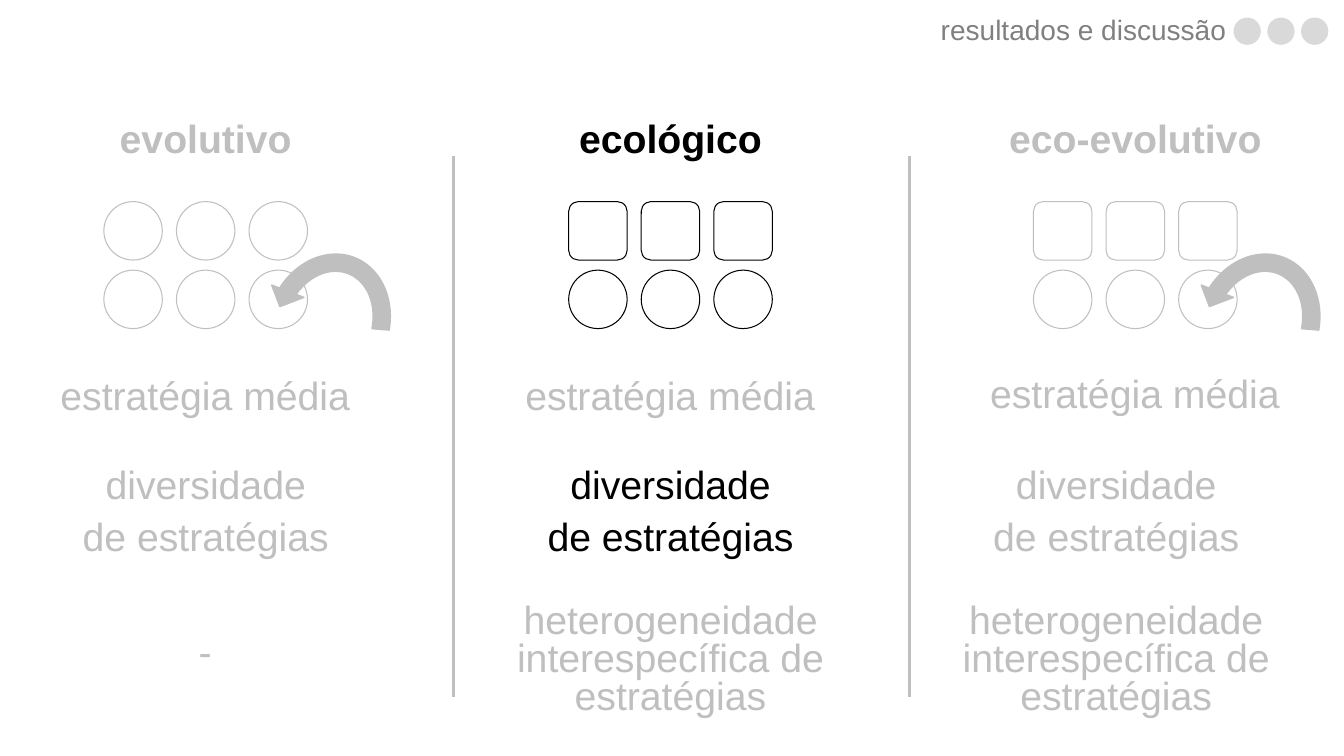
import pptx
import pptx.dml.color
import pptx.enum.shapes
import pptx.enum.text
import pptx.oxml.ns
import pptx.util
from lxml import etree

Inches = pptx.util.Inches
Pt = pptx.util.Pt
RGBColor = pptx.dml.color.RGBColor
MSO_SHAPE = pptx.enum.shapes.MSO_SHAPE
PP_ALIGN = pptx.enum.text.PP_ALIGN
MSO_ANCHOR = pptx.enum.text.MSO_ANCHOR

BLACK = RGBColor(0x00, 0x00, 0x00)
MUTED = RGBColor(0xBF, 0xBF, 0xBF)
DOT = RGBColor(0xD9, 0xD9, 0xD9)
HEADER = RGBColor(0x80, 0x80, 0x80)

COLUMN_X, COLUMN_STEP = 2.04, 4.61
TOKEN, TOKEN_STEP_X = 0.58, 0.72
ARROW_ADJUSTMENTS = (0.125, 11.423, 204.577, 117.73, 0.125)

CIRCLE, SQUARE = MSO_SHAPE.OVAL, MSO_SHAPE.ROUNDED_RECTANGLE
DIVERSITY = ["diversidade", "de estratégias"]
HETEROGENEITY = ["heterogeneidade interespecífica de estratégias"]

# title, highlight colour, shape of the upper row, feedback arrow,
# top of the mean strategy text, shift of the lower texts
COLUMNS = [
    ("evolutivo", MUTED, CIRCLE, True, 3.69, 0),
    ("ecológico", BLACK, SQUARE, False, 3.69, 0),
    ("eco-evolutivo", MUTED, SQUARE, True, 3.67, -0.19),
]


def set_attrs(obj, values):
    for name, value in values.items():
        setattr(obj, name, value)


def add_text(s, lines, x, y, w, h, color, spacing=0.9, size=28, bold=False,
             align=PP_ALIGN.CENTER, anchor=MSO_ANCHOR.TOP):
    tf = s.shapes.add_textbox(Inches(x), Inches(y), Inches(w), Inches(h)).text_frame
    set_attrs(tf, {"word_wrap": True, "vertical_anchor": anchor})
    for i, line in enumerate(lines):
        p = tf.paragraphs[0] if i == 0 else tf.add_paragraph()
        set_attrs(p, {"alignment": align, "line_spacing": spacing,
                      "space_before": Pt(10 if i else 0)})
        r = p.add_run()
        r.text = line
        set_attrs(r.font, {"name": "Arial", "size": Pt(size), "bold": bold})
        r.font.color.rgb = color


def add_figure(s, kind, x, y, w, h, line, fill=None, width=0):
    sp = s.shapes.add_shape(kind, Inches(x), Inches(y), Inches(w), Inches(h))
    sp.shadow.inherit = False
    if fill is None:
        sp.fill.background()
    else:
        sp.fill.solid()
        sp.fill.fore_color.rgb = fill
    sp.line.color.rgb = line
    sp.line.width = Pt(width)
    return sp


def add_tokens(s, center, color, upper_kind):
    for row, kind in enumerate((upper_kind, CIRCLE)):
        for col in range(3):
            x = center + (col - 1) * TOKEN_STEP_X - TOKEN / 2
            add_figure(s, kind, x, 2 + row * 0.68, TOKEN, TOKEN, color)


def add_feedback_arrow(s, center):
    sp = add_figure(s, MSO_SHAPE.CIRCULAR_ARROW, center + 0.53, 2.42, 1.37, 1.61,
                    MUTED, MUTED, 1)
    for i, value in enumerate(ARROW_ADJUSTMENTS):
        sp.adjustments[i] = value
    sp.rotation = 200.9
    sp._element.spPr.xfrm.set("flipV", "1")


def add_divider(s, x):
    line = s.shapes.add_connector(pptx.enum.shapes.MSO_CONNECTOR.STRAIGHT,
                                  Inches(x), Inches(1.55), Inches(x), Inches(6.91))
    line.line.color.rgb = MUTED
    line.line.width = Pt(2.25)
    etree.SubElement(line._element.spPr, pptx.oxml.ns.qn("a:effectLst"))


def add_header(s):
    add_text(s, ["resultados e discussão"], 7.78, 0.08, 4.48, 0.47, HEADER, size=20,
             align=PP_ALIGN.RIGHT, anchor=MSO_ANCHOR.MIDDLE)
    for i in range(3):
        add_figure(s, CIRCLE, 12.24 + i * 0.335, 0.18, 0.26, 0.26, DOT, DOT)


def main():
    prs = pptx.Presentation()
    set_attrs(prs, {"slide_width": Inches(13.33), "slide_height": Inches(7.5)})
    s = prs.slides.add_slide(prs.slide_layouts[6])

    # Three model columns
    for i, (title, color, upper, arrow, mean_y, shift) in enumerate(COLUMNS):
        center = COLUMN_X + i * COLUMN_STEP
        add_tokens(s, center, color, upper)
        add_text(s, [title], center - 1.385, 0.67, 2.77, 1.45, color, bold=True,
                 anchor=MSO_ANCHOR.MIDDLE)
        if arrow:
            add_feedback_arrow(s, center)
        add_text(s, ["estratégia média"], center - 1.76, mean_y, 3.51, 0.85, MUTED)
        lower = center + shift
        add_text(s, DIVERSITY, lower - 2.54, 4.61, 5.08, 1.04, color, 0.8)
        if i == 0:
            add_text(s, ["-"], center - 1.76, 6.23, 3.51, 0.85, MUTED)
        else:
            add_text(s, HETEROGENEITY, lower - 2.38, 5.95, 4.76, 1.33, MUTED, 0.8)

    # Dividers between the columns
    for x in (4.5, 9.02):
        add_divider(s, x)

    # Section marker at the top right
    add_header(s)
    prs.save("out.pptx")


if __name__ == "__main__":
    main()
